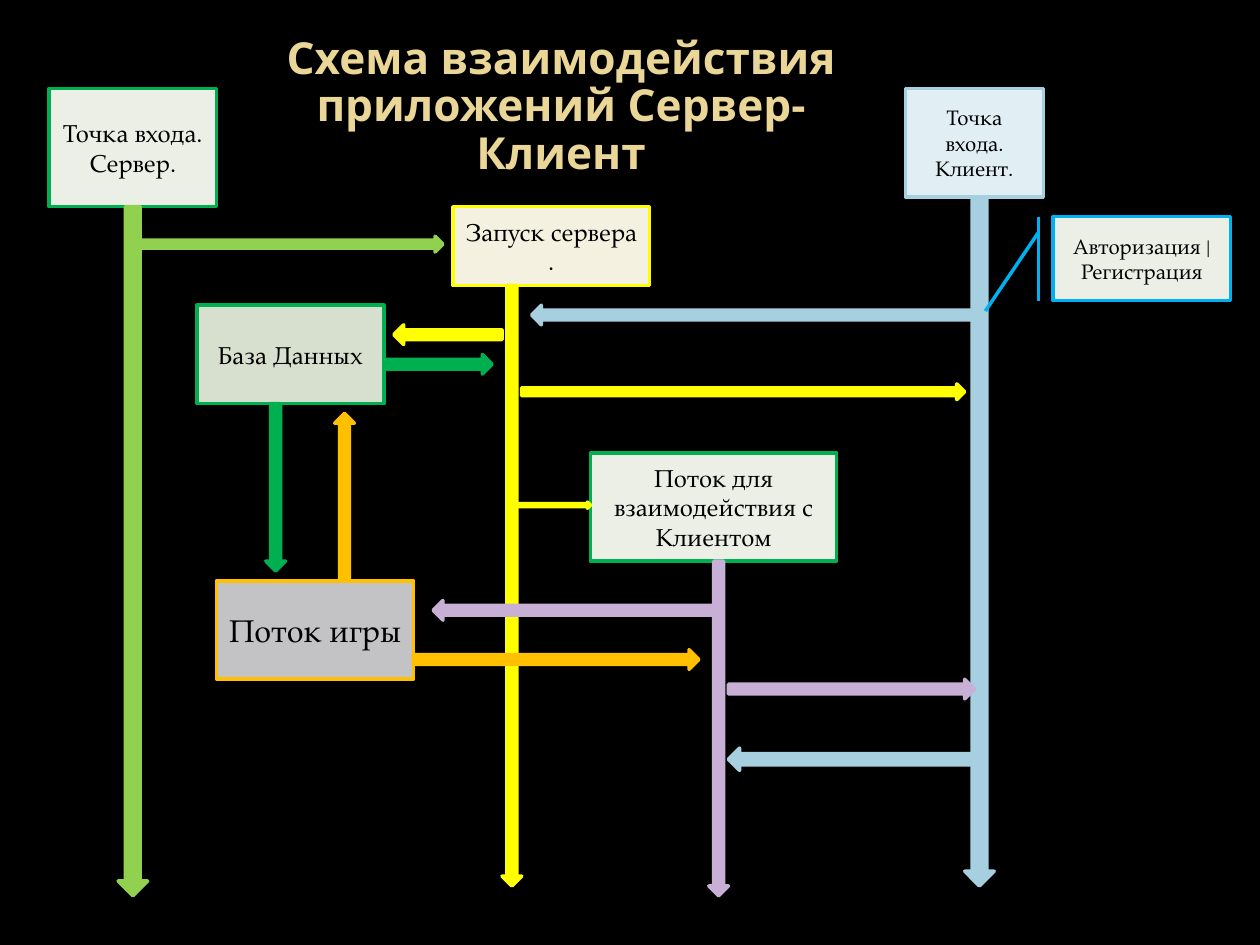
from pptx import Presentation
from pptx.dml.color import RGBColor
from pptx.enum.shapes import MSO_SHAPE as Shape
from pptx.enum.text import MSO_ANCHOR as Anchor, PP_ALIGN as Align
from pptx.util import Pt

GREEN, LIME, YELLOW = "00B050", "92D050", "FFFF00"
BLUE, SKY, LILAC, AMBER = "A6D0DF", "00B0F0", "C8AFD6", "FFC000"
PALE = "EBEFE6"
RIGHT, LEFT = Shape.RIGHT_ARROW, Shape.LEFT_ARROW
UP, DOWN = Shape.UP_ARROW, Shape.DOWN_ARROW

BOXES = [
    ("Точка входа.\nСервер.", (28.13, 50.63, 95.63, 67.5), PALE, GREEN, 14),
    ("Запуск сервера .", (258.75, 118.13, 112.5, 45), "F5F1E0", YELLOW, 14),
    ("Точка входа.\nКлиент.", (517.5, 50.63, 78.75, 61.88), "E1EFF4", BLUE, 12),
    ("База Данных", (112.5, 174.38, 106.88, 56.25), "D7DFCE", GREEN, 14),
    ("Поток для взаимодействия с Клиентом",
     (337.5, 258.75, 140.63, 61.88), PALE, GREEN, 14),
    ("Поток игры", (123.75, 331.88, 112.5, 56.25), "C3C2C5", AMBER, 18),
]

ARROWS = [
    (DOWN, (67.5, 118.13, 16.88, 393.75), LIME),
    (RIGHT, (78.75, 135, 174.38, 9), LIME),
    (DOWN, (551.25, 112.5, 16.88, 393.75), BLUE),
    (RIGHT, (298.13, 219.38, 253.13, 9), YELLOW),
    (RIGHT, (219.38, 202.5, 61.88, 11.25), GREEN),
    (DOWN, (286.88, 163.13, 11.25, 343.13), YELLOW),
    (LEFT, (225, 185.63, 61.88, 11.25), YELLOW),
    (LEFT, (303.75, 174.38, 253.13, 11.25), BLUE),
    (RIGHT, (292.5, 286.88, 45, 3.6), YELLOW),
    (DOWN, (405, 320.63, 11.25, 191.25), LILAC),
    (RIGHT, (416.25, 388.13, 140.63, 11.25), LILAC),
    (LEFT, (416.25, 427.5, 140.63, 12.75), BLUE),
    (LEFT, (247.5, 343.13, 163.13, 11.25), LILAC),
    (RIGHT, (236.25, 371.25, 163.13, 11.25), AMBER),
    (UP, (191.25, 236.25, 11.25, 95.63), AMBER),
    (DOWN, (151.88, 230.63, 11.25, 95.63), GREEN),
]


def color(code):
    return RGBColor.from_string(code)


def write(shape, text, size=14, font="TeX Gyre Pagella", ink="000000",
          bold=False, space=None):
    frame = shape.text_frame
    frame.word_wrap = True
    frame.vertical_anchor = Anchor.MIDDLE
    frame.text = text
    for para in frame.paragraphs:
        para.alignment = Align.CENTER
        para.line_spacing = space
        for run in para.runs:
            run.font.size = Pt(size)
            run.font.name = font
            run.font.bold = bold
            run.font.color.rgb = color(ink)


def draw(slide, kind, place, fill, line):
    shape = slide.shapes.add_shape(kind, *map(Pt, place))
    shape.shadow.inherit = False
    shape.fill.solid()
    shape.fill.fore_color.rgb = color(fill)
    shape.line.color.rgb = color(line)
    shape.line.width = Pt(2)
    return shape


def box(slide, text, place, fill, line, size, kind=Shape.RECTANGLE):
    write(draw(slide, kind, place, fill, line), text, size=size)


def main():
    deck = Presentation()
    deck.slide_width, deck.slide_height = Pt(720), Pt(540)
    slide = deck.slides.add_slide(deck.slide_layouts[6])
    back = slide.background.fill
    back.solid()
    back.fore_color.rgb = color("000000")

    title = slide.shapes.add_textbox(*map(Pt, (151.88, 21.5, 337.5, 80)))
    write(title, "Схема взаимодействия приложений Сервер-Клиент",
          size=25.2, font="Noto Sans", ink="EAD696", bold=True, space=0.9)
    for item in BOXES:
        box(slide, *item)
    for kind, place, tint in ARROWS:
        draw(slide, kind, place, tint, tint)
    box(slide, "Авторизация |Регистрация", (601.88, 123.75, 101.25, 48),
        PALE, SKY, 12, kind=Shape.LINE_CALLOUT_1_BORDER_AND_ACCENT_BAR)
    deck.save("out.pptx")


if __name__ == "__main__":
    main()
